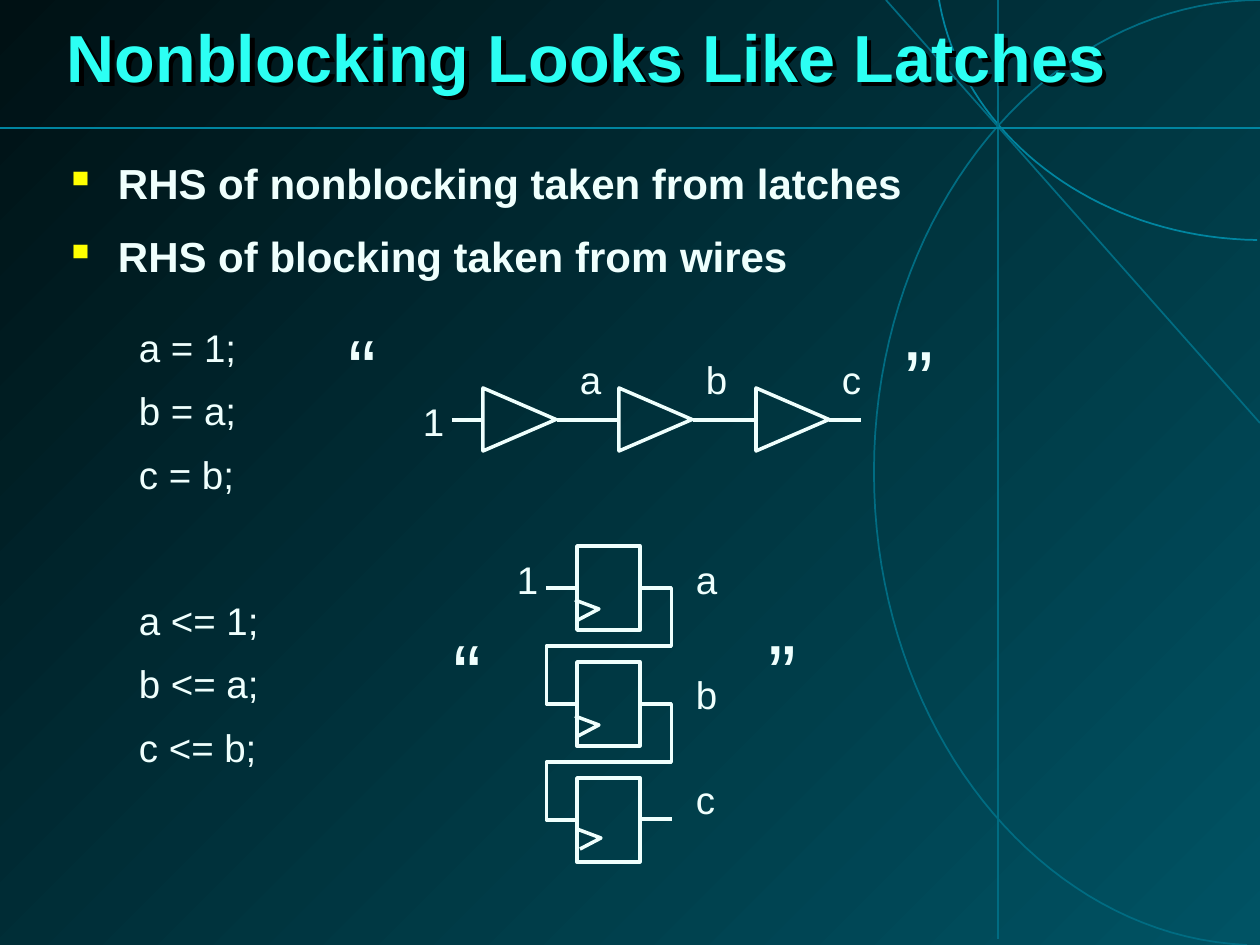
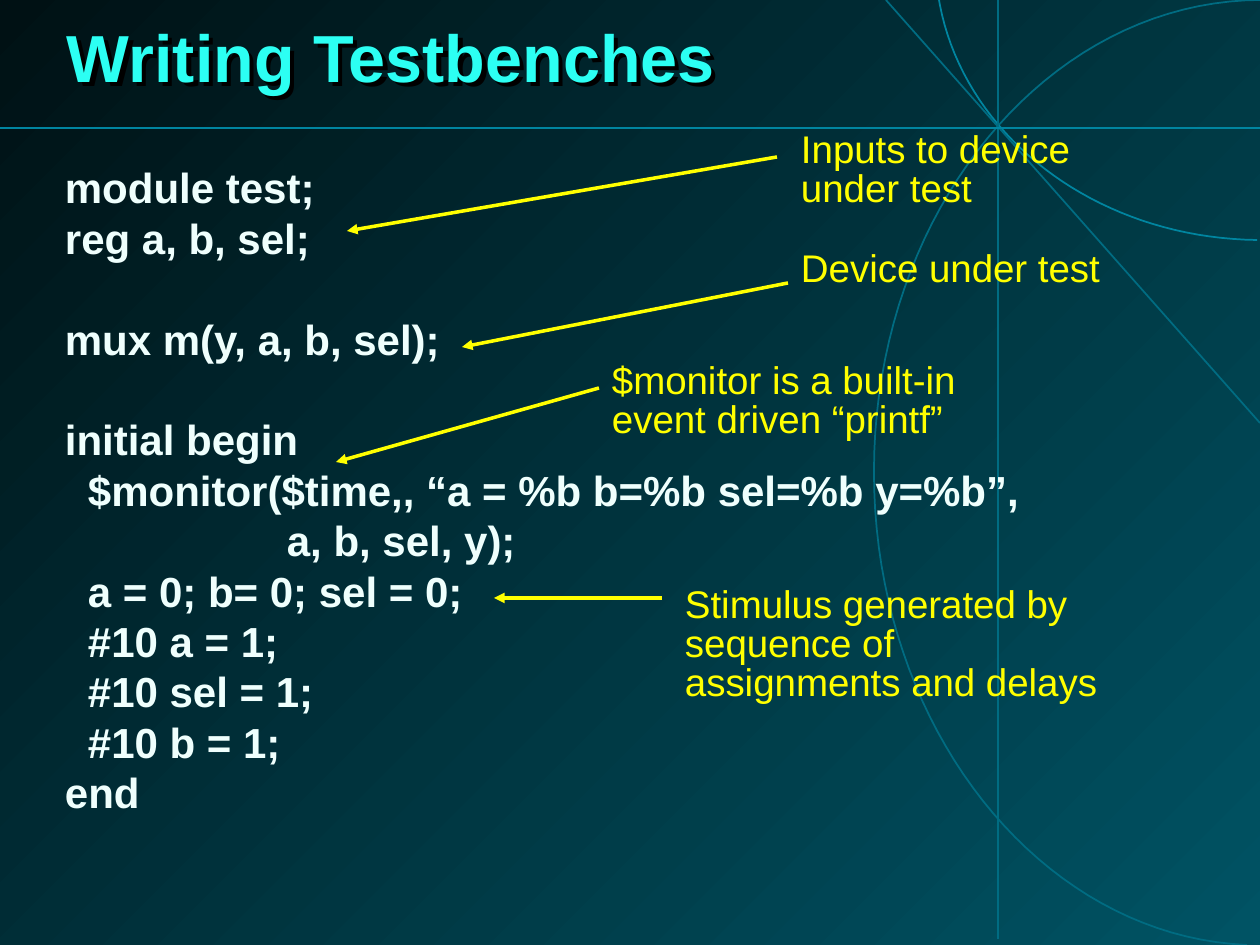
import pptx
import pptx.dml.color
import pptx.enum.shapes
import pptx.enum.text
import pptx.oxml
import pptx.oxml.ns
import pptx.util
from lxml import etree

COLORS = {
    "night": "001114",
    "teal": "005364",
    "dim_line": "006C82",
    "bright_line": "0085A0",
    "title": "2CFFF3",
    "ink": "EFFFFD",
    "accent": "FFFF00",
    "shadow": "000000",
}
FONT = "Arial"
EMU_PER_PX = 914400 / 126
INSET_X, INSET_Y = 13, 6
REGISTER_PITCH = 116
CODE_LINE_PT = 28.8


def px(length):
    return pptx.util.Emu(round(length * EMU_PER_PX))


def rgb(name):
    return pptx.dml.color.RGBColor.from_string(COLORS[name])


def sub(parent, tag, **attributes):
    """Append a DrawingML child element."""
    child = etree.SubElement(parent, pptx.oxml.ns.qn(tag))
    for key, value in attributes.items():
        child.set(key, str(value))
    return child


def add_text(slide, box, lines, size=22, color="ink", bold=False,
             line_spacing=0.85, space_before=13.8, anchor="TOP"):
    frame_shape = slide.shapes.add_textbox(*map(px, box))
    frame = frame_shape.text_frame
    frame.word_wrap = True
    frame.vertical_anchor = pptx.enum.text.MSO_ANCHOR[anchor]
    frame.margin_left = frame.margin_right = px(INSET_X)
    frame.margin_top = frame.margin_bottom = px(INSET_Y)
    for i, line in enumerate(lines):
        paragraph = frame.add_paragraph() if i else frame.paragraphs[0]
        paragraph.line_spacing = line_spacing
        paragraph.space_before = pptx.util.Pt(space_before)
        run = paragraph.add_run()
        run.text = line
        run.font.name = FONT
        run.font.size = pptx.util.Pt(size)
        run.font.bold = bold
        run.font.color.rgb = rgb(color)
    return frame_shape


def style_outline(shape, color="ink", width=2):
    shape.line.color.rgb = rgb(color)
    shape.line.width = pptx.util.Pt(width)


def add_outline(slide, kind, box, rotation=0):
    shape = slide.shapes.add_shape(pptx.enum.shapes.MSO_SHAPE[kind], *map(px, box))
    shape.rotation = rotation
    shape.fill.background()
    shape.shadow.inherit = False
    style_outline(shape)


def add_line(slide, start, end, color="ink", width=2, kind="STRAIGHT", arrow=False):
    line = slide.shapes.add_connector(
        pptx.enum.shapes.MSO_CONNECTOR[kind], *map(px, start + end))
    style_outline(line, color, width)
    if arrow:
        sub(line.line._get_or_add_ln(), "a:tailEnd", type="triangle")
    sub(line._element.spPr, "a:effectLst")
    return line


def add_path(slide, points, color="ink", width=2):
    corners = [(px(x), px(y)) for x, y in points]
    builder = slide.shapes.build_freeform(*corners[0], scale=1.0)
    builder.add_line_segments(corners[1:], close=False)
    path = builder.convert_to_shape()
    path.fill.background()
    path.shadow.inherit = False
    style_outline(path, color, width)


def bezier(p0, p1, p2, p3, steps=40):
    """Points along a cubic curve, both ends included."""
    def blend(t, axis):
        s = 1 - t
        return (s**3 * p0[axis] + 3 * s * s * t * p1[axis]
                + 3 * s * t * t * p2[axis] + t**3 * p3[axis])
    return [(blend(i / steps, 0), blend(i / steps, 1)) for i in range(steps + 1)]


def add_themed_slide(deck, title):
    """Add a slide with the gradient, the guide lines and the shadowed title."""
    slide = deck.slides.add_slide(deck.slide_layouts[6])
    fill = slide.background.fill
    fill.gradient()
    fill.gradient_angle = 315
    for stop, color, position in zip(fill.gradient_stops, ("night", "teal"), (0, 1)):
        stop.color.rgb = rgb(color)
        stop.position = position

    big_arc = (bezier((1247, 945), (1040, 936), (874, 727), (874, 472))
               + bezier((874, 472), (874, 212), (1047, 0), (1262, 0))[1:])
    small_arc = bezier((1257, 240), (1095, 238), (959, 134), (938, -6))
    add_path(slide, big_arc, "dim_line", 1)
    add_path(slide, small_arc, "bright_line", 1)
    add_line(slide, (1260, 423), (886, 0), "dim_line", 1)
    add_line(slide, (998, 0), (998, 939), "dim_line", 1)
    add_line(slide, (0, 128), (1260, 128), "bright_line", 1)

    heading = add_text(slide, (54, 0, 1160, 123), [title], size=38, color="title",
                       bold=True, line_spacing=0.87, space_before=0, anchor="MIDDLE")
    effects = sub(heading._element.spPr, "a:effectLst")
    shadow = sub(effects, "a:outerShdw", dist=px(6), dir=2700000, algn="ctr", rotWithShape=0)
    sub(shadow, "a:srgbClr", val=COLORS["shadow"])
    return slide


def add_bullets(slide, lines):
    body = add_text(slide, (52, 156, 1149, 704), lines, size=24, bold=True,
                    line_spacing=0.93, space_before=15)
    for paragraph in body.text_frame.paragraphs:
        properties = paragraph._p.get_or_add_pPr()
        properties.set("marL", str(px(53)))
        properties.set("indent", str(px(-53)))
        sub(sub(properties, "a:buClr"), "a:srgbClr", val=COLORS["accent"])
        sub(properties, "a:buChar", char="▪")


def add_code(slide, lines):
    """Add (text, indent, blank lines above) rows of code."""
    listing = add_text(slide, (52, 156, 1149, 704), [line[0] for line in lines],
                       size=24, bold=True, line_spacing=1.0, space_before=0)
    for paragraph, (_, indent, gap) in zip(listing.text_frame.paragraphs, lines):
        paragraph._p.get_or_add_pPr().set("marL", str(px(indent)))
        paragraph.space_before = pptx.util.Pt(gap * CODE_LINE_PT)


def add_label(slide, text, x, y):
    add_text(slide, (x, y, 53, 52), [text])


def add_quotes(slide, opening, closing):
    for mark, corner in (("“", opening), ("”", closing)):
        add_text(slide, corner + (53, 98), [mark], size=48, space_before=30)


def add_feedback_wire(slide, y):
    """Wire a register output around to the input of the register below."""
    wire = add_line(slide, (642, y), (576, y + REGISTER_PITCH), kind="ELBOW")
    geometry = wire._element.spPr.find(pptx.oxml.ns.qn("a:prstGeom"))
    geometry.set("prst", "bentConnector5")
    for old in list(geometry):
        geometry.remove(old)
    guides = sub(geometry, "a:avLst")
    for i, value in enumerate((-44700, 50000, 144700), 1):
        sub(guides, "a:gd", name=f"adj{i}", fmla=f"val {value}")


def draw_buffer_chain(slide):
    for i in range(3):
        add_outline(slide, "ISOSCELES_TRIANGLE", (488 + i * 273 // 2, 383, 63, 73), 90)
    for start, end in ((452, 483), (557, 620), (693, 756), (829, 861)):
        add_line(slide, (start, 420), (end, 420))
    add_label(slide, "1", 410, 399)
    for name, x in (("a", 567), ("b", 693), ("c", 829)):
        add_label(slide, name, x, 357)
    add_quotes(slide, (336, 325), (893, 336))


def draw_register_chain(slide):
    clocks = ((575, 600), (575, 716), (577, 829))
    labels = (("a", 557), ("b", 672), ("c", 777))
    for i, ((x, y), (name, label_y)) in enumerate(zip(clocks, labels)):
        add_outline(slide, "RECTANGLE", (577, 546 + i * REGISTER_PITCH, 63, 84))
        add_path(slide, [(x, y), (x + 24, y + 9), (x + 3, y + 20)])
        add_label(slide, name, 683, label_y)
    for i in range(2):
        add_feedback_wire(slide, 588 + i * REGISTER_PITCH)
    add_line(slide, (546, 588), (577, 588))
    add_line(slide, (640, 819), (672, 819))
    add_label(slide, "1", 504, 557)
    add_quotes(slide, (441, 630), (756, 630))


def build_latches(deck):
    slide = add_themed_slide(deck, "Nonblocking Looks Like Latches")
    add_bullets(slide, ["RHS of nonblocking taken from latches",
                        "RHS of blocking taken from wires"])
    for y, operator in ((325, "="), (598, "<=")):
        assignments = [f"{left} {operator} {right};" for left, right in ("a1", "ba", "cb")]
        add_text(slide, (126, y, 158, 179), assignments)
    draw_buffer_chain(slide)
    draw_register_chain(slide)


def build_testbenches(deck):
    slide = add_themed_slide(deck, "Writing Testbenches")
    add_code(slide, [
        ("module test;", 0, 0),
        ("reg a, b, sel;", 0, 0),
        ("mux m(y, a, b, sel);", 0, 1),
        ("initial begin", 0, 1),
        ("$monitor($time,, “a = %b b=%b sel=%b y=%b”,", 23, 0),
        ("a, b, sel, y);", 222, 0),
        ("a = 0; b= 0; sel = 0;", 23, 0),
        ("#10 a = 1;", 23, 0),
        ("#10 sel = 1;", 23, 0),
        ("#10 b = 1;", 23, 0),
        ("end", 0, 0),
    ])
    callouts = (
        ("Inputs to device under test", (788, 126, 399, 92), (777, 157), (347, 231)),
        ("Device under test", (788, 245, 399, 52), (788, 283), (462, 347)),
        ("$monitor is a built-in event driven “printf”",
         (599, 357, 441, 92), (599, 388), (336, 462)),
        ("Stimulus generated by sequence of assignments and delays",
         (672, 581, 441, 131), (662, 598), (494, 598)),
    )
    for note, box, start, end in callouts:
        add_line(slide, start, end, "accent", arrow=True)
        add_text(slide, box, [note], color="accent")


def main():
    deck = pptx.Presentation()
    deck.slide_width, deck.slide_height = px(1260), px(945)
    build_latches(deck)
    build_testbenches(deck)
    deck.save("out.pptx")


if __name__ == "__main__":
    main()
